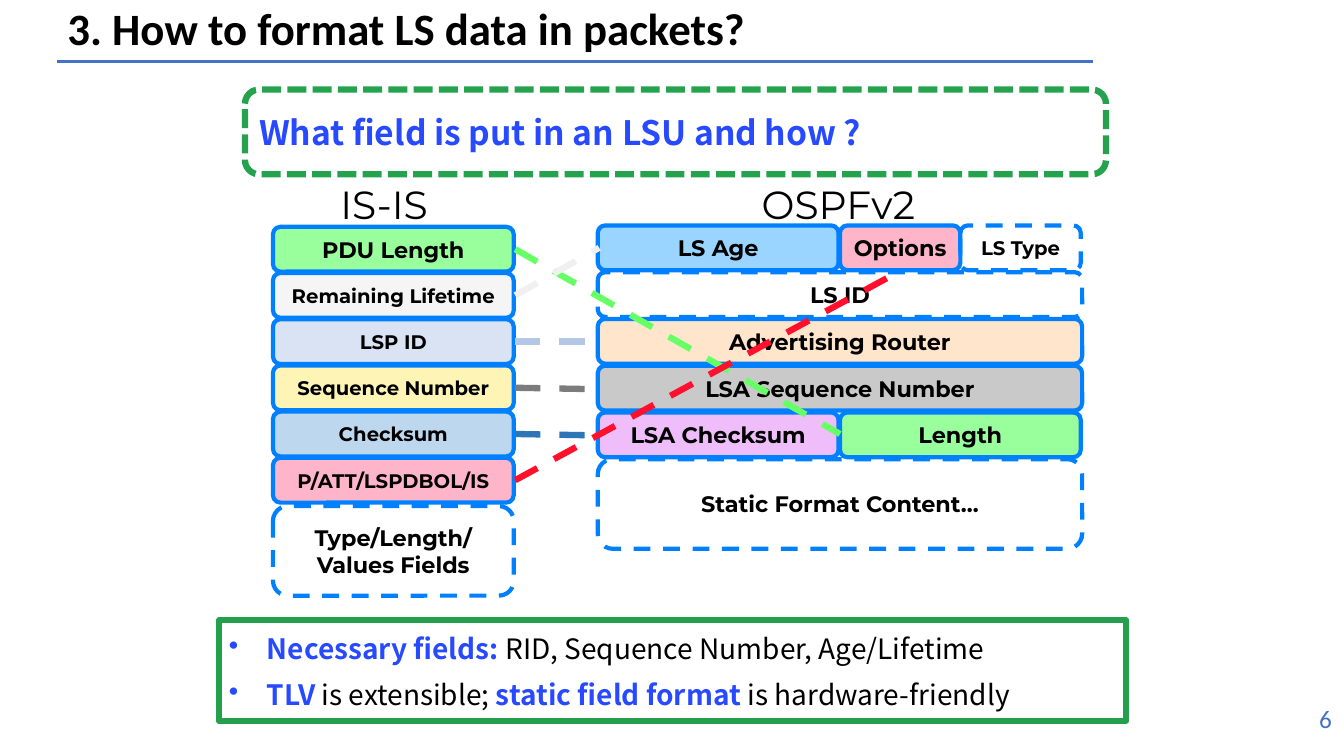
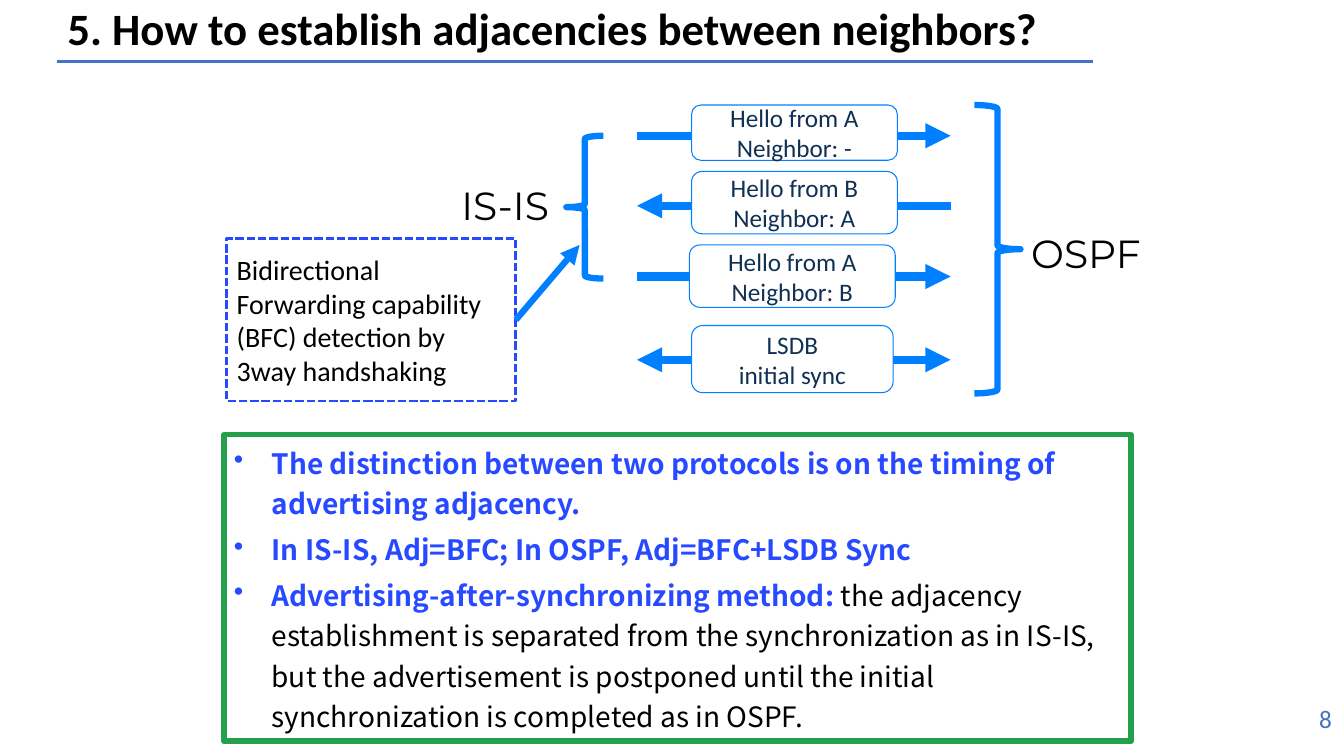
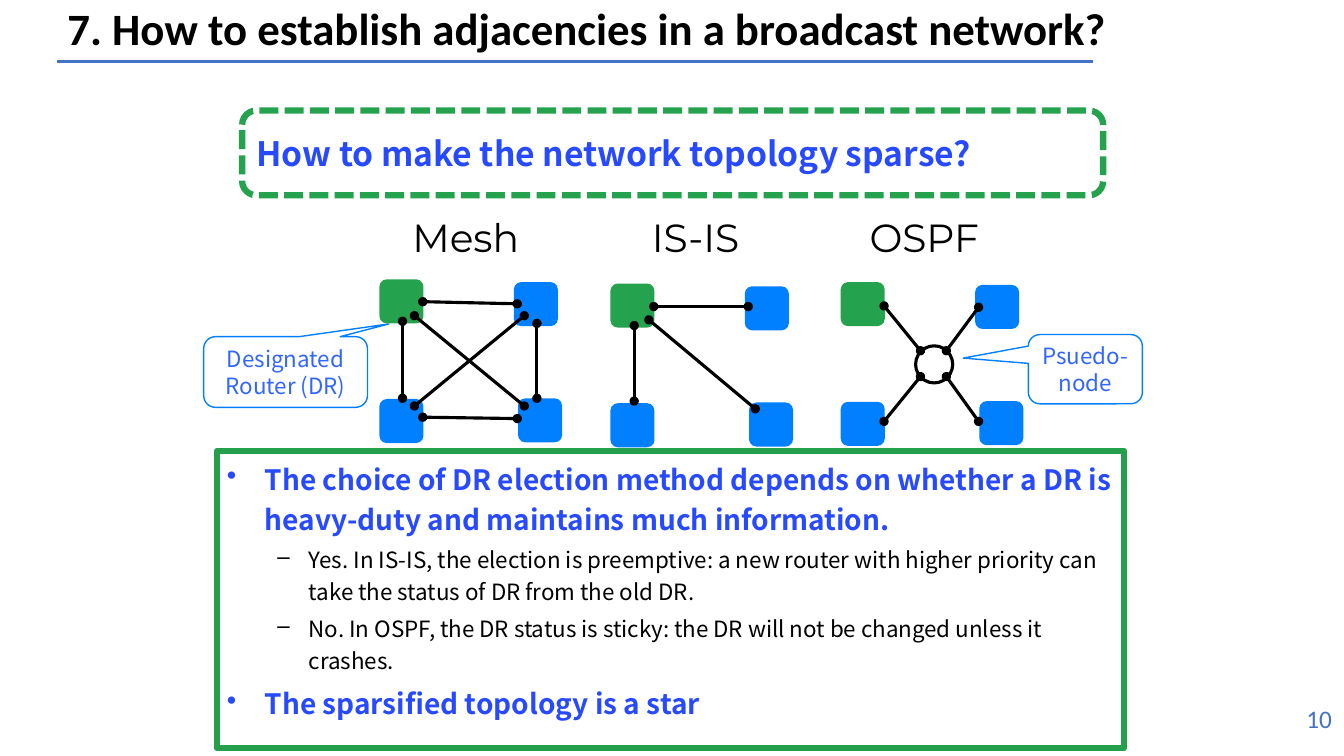
import pptx
import pptx.dml.color
import pptx.enum.dml
import pptx.enum.shapes
import pptx.enum.text
import pptx.oxml
import pptx.oxml.ns
import pptx.util

Pt = pptx.util.Pt
SHAPE = pptx.enum.shapes.MSO_SHAPE
DASH = pptx.enum.dml.MSO_LINE.DASH
SHORT_DASH = pptx.enum.dml.MSO_LINE.SQUARE_DOT
ALIGN = pptx.enum.text.PP_ALIGN
ANCHOR = pptx.enum.text.MSO_ANCHOR

COLORS = {
    "black": "000000", "white": "FFFFFF", "rule": "4472C4", "azure": "0080FF",
    "strong": "2749FF", "callout": "3366FF", "hello": "103154",
    "frame": "249F4C", "green": "25A24E", "lime": "99FF9D", "pink": "FFB5C9",
    "smoke": "F5F5F5", "ice": "DAE3F3", "lemon": "FDF4B6", "steel": "BDD7EE",
    "peach": "FFE5CC", "sky": "99D5FF", "gray": "C9C9C9", "violet": "F0BDFB",
    "lime_link": "66FF66", "smoke_link": "F1F0F0", "ice_link": "B4C7E7",
    "gray_link": "7C7C7C", "steel_link": "2E75B6", "red_link": "FF102C",
}
BODY, HEADING, SANS = "Calibri", "Montserrat", "Noto Sans CJK SC"


def rgb(name):
    return pptx.dml.color.RGBColor.from_string(COLORS[name])


def style_run(run, font, size, color, bold=False):
    run.font.name = font
    run.font.size = Pt(size)
    run.font.bold = bold
    run.font.color.rgb = rgb(color)


def write(shape, text, font, size, color, bold=False, align=ALIGN.LEFT, anchor=ANCHOR.TOP):
    frame = shape.text_frame
    frame.text = text
    frame.word_wrap = True
    frame.vertical_anchor = anchor
    for paragraph in frame.paragraphs:
        paragraph.alignment = align
        for run in paragraph.runs:
            style_run(run, font, size, color, bold)


def add_box(slide, kind, at, fill=None, line=None, width=1, dash=None):
    shape = slide.shapes.add_shape(kind, *map(Pt, at))
    shape.shadow.inherit = False
    if fill:
        shape.fill.solid()
        shape.fill.fore_color.rgb = rgb(fill)
    else:
        shape.fill.background()
    if line:
        shape.line.color.rgb = rgb(line)
        shape.line.width = Pt(width)
        shape.line.dash_style = dash
    else:
        shape.line.fill.background()
    return shape


def add_line(slide, start, end, color, width, dash=None, head=None, tail=None):
    line = slide.shapes.add_connector(
        pptx.enum.shapes.MSO_CONNECTOR.STRAIGHT, *map(Pt, (*start, *end)))
    line.line.color.rgb = rgb(color)
    line.line.width = Pt(width)
    line.line.dash_style = dash
    outline = line.line._get_or_add_ln()
    for tag, tip in (("a:headEnd", head), ("a:tailEnd", tail)):
        if tip:
            end_mark = pptx.oxml.parse_xml(f"<{tag} {pptx.oxml.ns.nsdecls('a')} type='{tip}'/>")
            outline.append(end_mark)
    effects = pptx.oxml.parse_xml(f"<a:effectLst {pptx.oxml.ns.nsdecls('a')}/>")
    line._element.spPr.append(effects)


def add_heading(slide, left, top, width, text):
    heading = slide.shapes.add_textbox(*map(Pt, (left, top, width, 41)))
    write(heading, text, HEADING, 28, "black")
    heading.text_frame.word_wrap = False


def add_question(slide, left, top, text):
    question = add_box(slide, SHAPE.ROUNDED_RECTANGLE, (left, top, 615, 60.5),
                       line="green", width=4.5, dash=SHORT_DASH)
    write(question, text, SANS, 24, "strong", True, anchor=ANCHOR.MIDDLE)


def add_takeaways(slide, at, items):
    frame = add_box(slide, SHAPE.RECTANGLE, at, line="frame", width=4).text_frame
    frame.word_wrap = True
    frame.vertical_anchor = ANCHOR.TOP
    for index, (level, parts) in enumerate(items):
        paragraph = frame.paragraphs[0] if index == 0 else frame.add_paragraph()
        size, margin, indent, bullet = (16, 58.5, 22.5, "–") if level else (20, 27, 27, "•")
        paragraph.level = level
        paragraph.alignment = ALIGN.LEFT
        paragraph.line_spacing = 1.2
        paragraph.space_before = Pt(size * 0.2)
        properties = paragraph._p.get_or_add_pPr()
        properties.set("marL", str(Pt(margin)))
        properties.set("indent", str(-Pt(indent)))
        properties.append(pptx.oxml.parse_xml(
            f"<a:buChar {pptx.oxml.ns.nsdecls('a')} char='{bullet}'/>"))
        for text, strong in parts:
            run = paragraph.add_run()
            run.text = text
            style_run(run, SANS, size, "strong" if strong else "black", strong)


def add_field(slide, at, text, fill=None, size=16):
    field = add_box(slide, SHAPE.ROUNDED_RECTANGLE, at, fill, "azure", 3, None if fill else DASH)
    write(field, text, HEADING, size, "black", True, ALIGN.CENTER, ANCHOR.MIDDLE)


def add_callout(slide, at, pointer, text):
    callout = add_box(slide, SHAPE.ROUNDED_RECTANGULAR_CALLOUT, at, line="azure")
    callout.adjustments[0], callout.adjustments[1] = pointer
    write(callout, text, SANS, 16, "callout", align=ALIGN.CENTER, anchor=ANCHOR.MIDDLE)


def add_topology(slide, left, top, links):
    corners = ((99, 85, "azure"), (96, 2, "azure"), (0, 85.5, "azure"), (0, 0, "green"))
    for dx, dy, fill in corners:
        add_box(slide, SHAPE.ROUNDED_RECTANGLE, (left + dx, top + dy, 31.5, 31.5), fill)
    for x1, y1, x2, y2 in links:
        add_line(slide, (left + x1, top + y1), (left + x2, top + y2),
                 "black", 2.25, head="oval", tail="oval")


def add_base(deck, title, number):
    slide = deck.slides.add_slide(deck.slide_layouts[5])
    add_line(slide, (41, 44), (781, 44), "rule", 2.5)
    heading = slide.shapes.title
    heading.left, heading.top, heading.width, heading.height = map(Pt, (41, 0, 869, 44))
    write(heading, title, BODY, 32, "black", True, anchor=ANCHOR.MIDDLE)
    heading.text_frame.paragraphs[0].line_spacing = 0.9
    page = slide.shapes.add_textbox(*map(Pt, (875, 499, 83.5, 39.5)))
    write(page, number, BODY, 18, "rule", align=ALIGN.RIGHT)
    return slide


def build_formats(deck):
    slide = add_base(deck, "3. How to format LS data in packets?", "6")
    add_heading(slide, 537, 125.5, 134, "OSPFv2")
    add_heading(slide, 236, 125.5, 87, "IS-IS")
    height, half, full = 32, 172, 346
    ospf_left, ospf_top, ospf_pitch = 427, 161, 33.4
    ospf_fields = (
        (1, 0, full, "LS ID", None, 16),
        (2, 0, full, "Advertising Router", "peach", 16),
        (0, 0, half, "LS Age", "sky", 16),
        (0, 173, 86, "Options", "pink", 16),
        (0, 259, 86, "LS Type", None, 14),
        (3, 0, full, "LSA Sequence Number", "gray", 16),
        (4, 0, half, "LSA Checksum", "violet", 16),
        (4, 173, half, "Length", "lime", 16),
    )
    for row, offset, width, text, fill, size in ospf_fields:
        at = (ospf_left + offset, ospf_top + row * ospf_pitch, width, height)
        add_field(slide, at, text, fill, size)
    add_field(slide, (ospf_left, ospf_top + 5 * ospf_pitch, full, 2 * height),
              "Static Format Content…")

    isis_left, isis_top, isis_pitch = 195, 162, 33
    isis_fields = (
        ("PDU Length", "lime", 16, "lime_link", (600, 310)),
        ("Remaining Lifetime", "smoke", 14, "smoke_link", (428, 177)),
        ("LSP ID", "ice", 14, "ice_link", (426, 244)),
        ("Sequence Number", "lemon", 14, "gray_link", (426, 278)),
        ("Checksum", "steel", 14, "steel_link", (426, 311)),
        ("P/ATT/LSPDBOL/IS", "pink", 14, "red_link", (644, 193)),
    )
    for row, (text, fill, size, _, _) in enumerate(isis_fields):
        add_field(slide, (isis_left, isis_top + row * isis_pitch, half, height), text, fill, size)
    add_field(slide, (isis_left, 361.5, half, 2 * height), "Type/Length/ Values Fields")
    add_takeaways(slide, (156.5, 443, 648, 72), (
        (0, (("Necessary fields: ", True), ("RID, Sequence Number, Age/Lifetime", False))),
        (0, (("TLV", True), (" is extensible; ", False),
             ("static field format ", True), ("is hardware-friendly", False))),
    ))
    for row, (_, _, _, color, target) in enumerate(isis_fields):
        start = (isis_left + half + 1, isis_top + row * isis_pitch + height / 2)
        add_line(slide, start, target, color, 4.5, DASH)
    add_question(slide, 175, 64, "What field is put in an LSU and how ?")


def build_adjacencies(deck):
    slide = add_base(deck, "5. How to establish adjacencies between neighbors?", "8")
    add_takeaways(slide, (160, 310.5, 648, 219), (
        (0, (("The distinction between two protocols is on the timing of "
              "advertising adjacency.", True),)),
        (0, (("In IS-IS, Adj=BFC; In OSPF, Adj=BFC+LSDB Sync", True),)),
        (0, (("Advertising-after-synchronizing method: ", True),
             ("the adjacency establishment is separated from the synchronization as in IS-IS, "
              "but the advertisement is postponed until the initial synchronization is "
              "completed as in OSPF.", False))),
    ))
    add_box(slide, SHAPE.RIGHT_BRACE, (696, 75, 33, 206), line="azure", width=4.5)
    add_box(slide, SHAPE.LEFT_BRACE, (404.5, 97, 26.5, 102), line="azure", width=4.5)
    add_heading(slide, 322.5, 126, 87, "IS-IS")
    add_heading(slide, 729.5, 160, 98, "OSPF")
    messages = (
        (97, None, "triangle", (494, 75, 147, 39.5), "Hello from A\nNeighbor: -"),
        (147, "triangle", None, (494, 122.5, 147, 44.5), "Hello from B\nNeighbor: A"),
        (197.5, None, "triangle", (492.5, 175, 147, 44.5), "Hello from A\nNeighbor: B"),
        (257, "triangle", "triangle", (494, 232.5, 144, 48), "LSDB\ninitial sync"),
    )
    for y, head, tail, at, text in messages:
        add_line(slide, (455, y), (679, y), "azure", 6, head=head, tail=tail)
        message = add_box(slide, SHAPE.ROUNDED_RECTANGLE, at, "white", "azure", 0.75)
        write(message, text, BODY, 18, "hello", align=ALIGN.CENTER, anchor=ANCHOR.MIDDLE)
    detection = add_box(slide, SHAPE.RECTANGLE, (162, 170.5, 206.5, 116),
                        line="strong", width=2, dash=SHORT_DASH)
    write(detection, "Bidirectional Forwarding capability (BFC) detection by 3way handshaking",
          BODY, 20, "black", anchor=ANCHOR.MIDDLE)
    add_line(slide, (368.5, 228.5), (414, 175), "azure", 4.5, tail="triangle")


def build_broadcast(deck):
    slide = add_base(deck, "7. How to establish adjacencies in a broadcast network?", "10")
    add_callout(slide, (145.5, 240.5, 117, 50.5), (0.63, -0.68), "Designated Router (DR)")
    topologies = (
        ("IS-IS", 458.5, 87, 436, 202.5, (
            (31, 16.5, 98.5, 16.5), (17, 84, 17, 30), (27.5, 26, 103.5, 89.5))),
        ("OSPF", 614, 98, 600.5, 201.5, (
            (31, 17, 57, 49), (75.5, 67.5, 98.5, 99.5),
            (75.5, 49, 98.5, 18), (31, 99.5, 57, 67.5))),
        ("Mesh", 287.5, 96, 271, 199.5, (
            (31, 98.5, 98.5, 99.5), (112.5, 31.5, 112.5, 85), (25, 90.5, 103.5, 26),
            (31, 16, 98.5, 17.5), (16.5, 30, 16.5, 85), (25, 26, 103.5, 90.5))),
    )
    for name, heading_left, heading_width, left, top, links in topologies:
        add_topology(slide, left, top, links)
        add_heading(slide, heading_left, 148.5, heading_width, name)
    add_box(slide, SHAPE.OVAL, (654, 247, 26.5, 26.5), line="black", width=2.25)
    add_callout(slide, (734.5, 239, 81.5, 49.5), (-1.07, -0.16), "Psuedo-node")
    add_question(slide, 173, 79, "How to make the network topology sparse?")
    add_takeaways(slide, (155, 322, 648, 212.5), (
        (0, (("The choice of DR election method depends on whether a DR is heavy-duty "
              "and maintains much information.", True),)),
        (1, (("Yes. In IS-IS, the election is preemptive: a new router with higher priority "
              "can take the status of DR from the old DR.", False),)),
        (1, (("No. In OSPF, the DR status is sticky: the DR will not be changed unless it "
              "crashes.", False),)),
        (0, (("The sparsified topology is a star", True),)),
    ))


def main():
    deck = pptx.Presentation()
    deck.slide_width, deck.slide_height = Pt(960), Pt(540)
    build_formats(deck)
    build_adjacencies(deck)
    build_broadcast(deck)
    deck.save("out.pptx")


if __name__ == "__main__":
    main()
